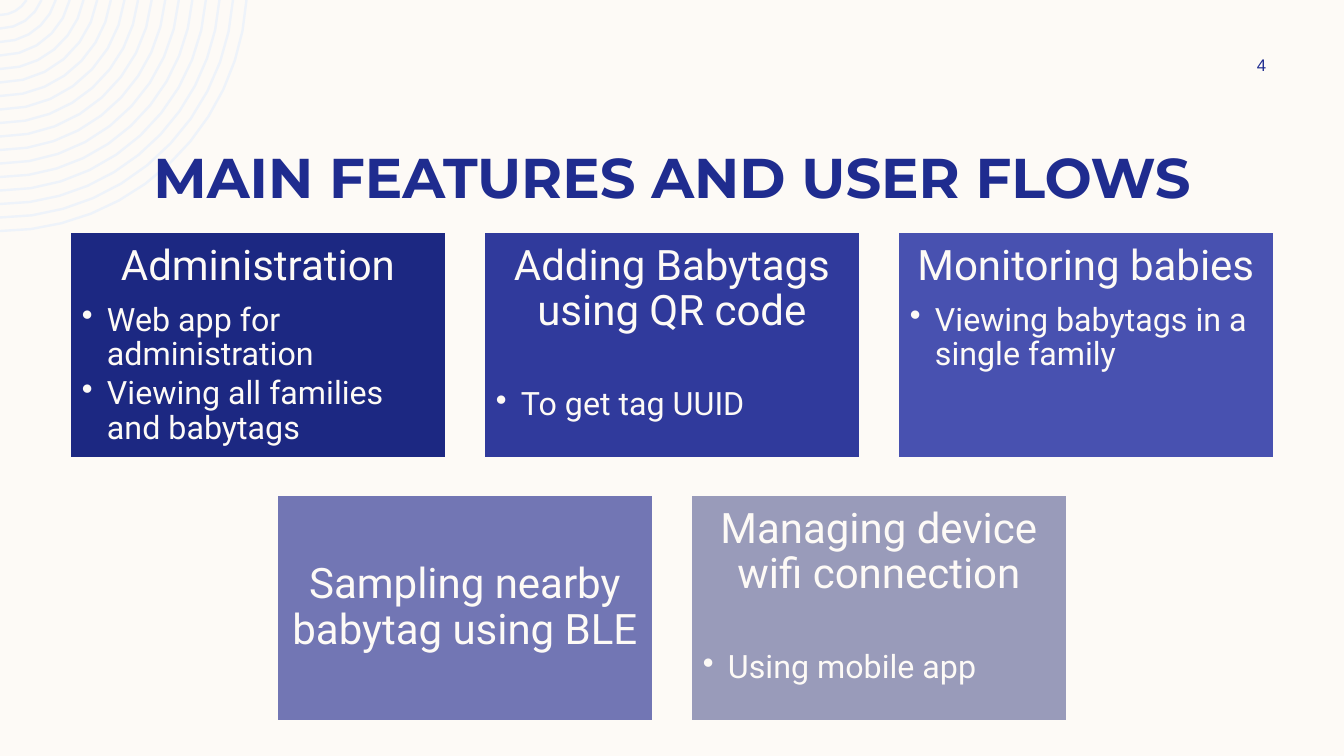
from dataclasses import dataclass
from math import asin, cos, pi, sin

from lxml import etree
from pptx import Presentation
from pptx.dml.color import RGBColor
from pptx.enum.shapes import MSO_SHAPE
from pptx.enum.text import MSO_ANCHOR, PP_ALIGN
from pptx.oxml.ns import qn
from pptx.util import Emu, Pt

RECTANGLE = MSO_SHAPE.RECTANGLE
TOP, MIDDLE = MSO_ANCHOR.TOP, MSO_ANCHOR.MIDDLE
CENTER, LEFT = PP_ALIGN.CENTER, PP_ALIGN.LEFT

PAGE_WIDTH, PAGE_HEIGHT = 1344, 756
CARD_WIDTH, CARD_HEIGHT, CARD_INSET = 376, 226, 12
COLUMN_PITCH, ROW_PITCH, FIRST_ROW = 414, 263, 232
BULLET_INDENT = 25
RING_COUNT, RING_CENTER_Y, RING_RADIUS = 17, -16, 31
RING_STEP, RING_THICKNESS = 13.5, 2.4


@dataclass(frozen=True)
class Theme:
    """Colours, fonts and type sizes of the slide."""
    paper: str = "FDFAF6"
    ink: str = "1F2C8F"
    rings: str = "EEF3FA"
    title_font: str = "Montserrat"
    card_font: str = "Roboto"
    number_font: str = "Arial"
    title_size: int = 40
    heading_size: int = 30
    bullet_size: int = 23
    number_size: int = 12


THEME = Theme()

# Each card: fill, heading, bullets, space above the bullets (points)
CARD_ROWS = [
    [
        ("1C2882", "Administration",
         ["Web app for administration", "Viewing all families and babytags"], 0),
        ("303A9C", "Adding Babytags using QR code", ["To get tag UUID"], 28),
        ("4851B0", "Monitoring babies", ["Viewing babytags in a single family"], 0),
    ],
    [
        ("7276B4", "Sampling nearby babytag using BLE", [], 0),
        ("999BBA", "Managing device wifi connection", ["Using mobile app"], 28),
    ],
]


def px(length):
    """Turn pixels into EMU."""
    return Emu(round(length * 914400 / 100.8))


def color(code):
    """Turn a hex code into a colour."""
    return RGBColor.from_string(code)


def style(para, font, size, code, bold=False, align=CENTER):
    """Set the font and alignment of a paragraph."""
    para.alignment = align
    para.font.name = font
    para.font.size = Pt(size)
    para.font.bold = bold
    para.font.color.rgb = color(code)


def add_label(page, area, text, font, size, bold=False):
    """Add a centred one-line text box."""
    box = page.shapes.add_textbox(*map(px, area))
    frame = box.text_frame
    frame.word_wrap = True
    frame.vertical_anchor = MIDDLE
    para = frame.paragraphs[0]
    para.text = text
    style(para, font, size, THEME.ink, bold)


def arc_points(radius, steps):
    """Return points from the top edge of the page to its left edge."""
    start = asin(-RING_CENTER_Y / radius)
    angles = [start + (pi / 2 - start) * i / steps for i in range(steps + 1)]
    return [(px(radius * cos(a)), px(RING_CENTER_Y + radius * sin(a))) for a in angles]


def add_rings(page):
    """Draw the concentric corner rings as one stroked outline."""
    arcs = [arc_points(RING_RADIUS + index * RING_STEP, 4 + index // 2)
            for index in range(RING_COUNT)]
    builder = page.shapes.build_freeform(*arcs[0][0])
    for first, *rest in arcs:
        builder.move_to(*first)
        builder.add_line_segments(rest, close=False)
    rings = builder.convert_to_shape()
    rings.shadow.inherit = False
    rings.fill.background()
    rings.line.color.rgb = color(THEME.rings)
    rings.line.width = px(RING_THICKNESS)


def add_bullet(frame, text, space_before):
    """Add a bulleted paragraph with a hanging indent."""
    para = frame.add_paragraph()
    para.text = text
    style(para, THEME.card_font, THEME.bullet_size, THEME.paper, align=LEFT)
    para.level = 1
    para.line_spacing = 0.9
    para.space_before = Pt(space_before)
    para.space_after = Pt(3)
    properties = para._p.get_or_add_pPr()
    properties.set("marL", str(px(BULLET_INDENT)))
    properties.set("indent", str(-px(BULLET_INDENT)))
    mark = etree.Element(qn("a:buChar"), char="•")
    properties.find(qn("a:defRPr")).addprevious(mark)


def add_card(page, left, top, fill, heading, bullets, gap):
    """Add a feature card with a heading and optional bullets."""
    card = page.shapes.add_shape(
        RECTANGLE, px(left), px(top), px(CARD_WIDTH), px(CARD_HEIGHT))
    card.shadow.inherit = False
    card.fill.solid()
    card.fill.fore_color.rgb = color(fill)
    card.line.color.rgb = color(THEME.paper)
    card.line.width = Pt(1)
    frame = card.text_frame
    frame.word_wrap = True
    frame.vertical_anchor = TOP if bullets else MIDDLE
    frame.margin_left = frame.margin_right = px(CARD_INSET)
    frame.margin_top = frame.margin_bottom = px(CARD_INSET)
    para = frame.paragraphs[0]
    para.text = heading
    style(para, THEME.card_font, THEME.heading_size, THEME.paper)
    para.line_spacing = 0.9
    para.space_after = Pt(10 if bullets else 0)
    for index, text in enumerate(bullets):
        add_bullet(frame, text, 0 if index else gap)


def add_cards(page):
    """Lay out the rows of cards, each centred on the page."""
    for row, cards in enumerate(CARD_ROWS):
        row_width = CARD_WIDTH + (len(cards) - 1) * COLUMN_PITCH
        first_left = (PAGE_WIDTH - row_width) // 2
        for column, card in enumerate(cards):
            add_card(page, first_left + column * COLUMN_PITCH,
                     FIRST_ROW + row * ROW_PITCH, *card)


def main():
    """Build and save the slide."""
    deck = Presentation()
    deck.slide_width, deck.slide_height = px(PAGE_WIDTH), px(PAGE_HEIGHT)
    page = deck.slides.add_slide(deck.slide_layouts[6])
    page.background.fill.solid()
    page.background.fill.fore_color.rgb = color(THEME.paper)
    add_rings(page)
    add_label(page, (84, 134, 1176, 84), "MAIN FEATURES AND USER FLOWS",
              THEME.title_font, THEME.title_size, bold=True)
    add_cards(page)
    add_label(page, (1207, 50, 109, 30), "4", THEME.number_font, THEME.number_size)
    deck.save("out.pptx")


main()
